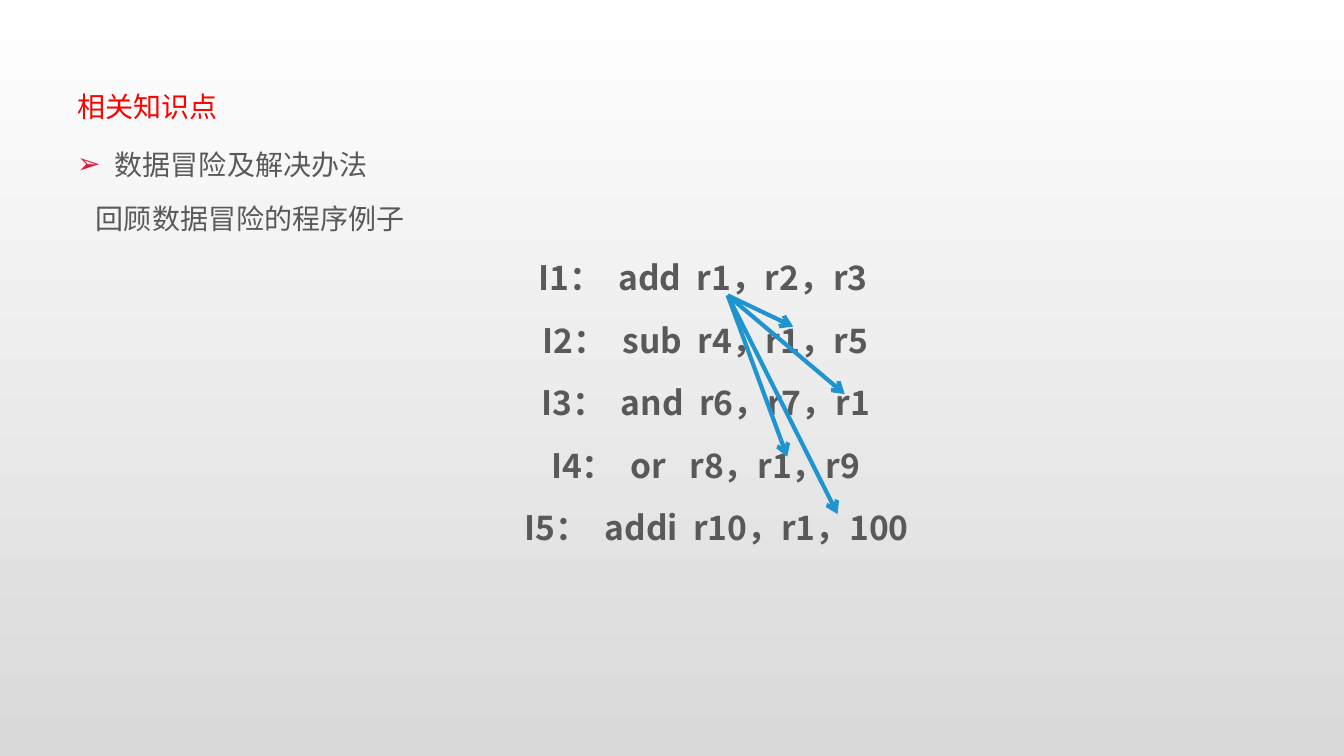
import pptx
import pptx.util
import pptx.dml.color
import pptx.enum.shapes
import pptx.enum.text
import pptx.oxml.ns
import lxml.etree

Pt = pptx.util.Pt
RGB = pptx.dml.color.RGBColor.from_string

# Content
HEADING = "相关知识点"
TOPIC = "数据冒险及解决办法"
LEAD_IN = "回顾数据冒险的程序例子"
# (instruction, left margin that offsets the centred line)
PROGRAM = [
    ("I1：  add  r1，r2，r3", 44.5),
    ("I2：  sub  r4，r1，r5", 48),
    ("I3：  and  r6，r7，r1", 48),
    ("I4：  or   r8，r1，r9", 48),
    ("I5：  addi  r10，r1，100", 64),
]
# Each arrow runs from the r1 written by I1 to a later use of it
R1_WRITTEN = (519.8, 211)
R1_USES = [(598.3, 367.2), (566.6, 233.3), (562.3, 326.2), (603.4, 281.5)]

THEME = {
    "heading": "FF0000", "text": "595959", "bullet": "DE1A37", "arrow": "2094CE",
    "background": ("FFFFFF", "D9D9D9"),
    "body_size": 20, "code_size": 24, "arrow_width": 3,
    "body_font": "Arial", "cjk_font": "Noto Sans CJK SC",
}


def add_xml(parent, tag, **attributes):
    return lxml.etree.SubElement(parent, pptx.oxml.ns.qn(tag), attributes)


def add_line(frame, text, color="text", size="body_size", font="body_font",
             bold=False, spacing=1.2, margin=0, centred=False):
    """Fill the first empty paragraph, or add one, with a single run."""
    para = frame.paragraphs[0] if not frame.text else frame.add_paragraph()
    para.line_spacing = spacing
    para.space_after = Pt(10)
    align = pptx.enum.text.PP_ALIGN
    para.alignment = align.CENTER if centred else align.LEFT
    properties = para._p.get_or_add_pPr()
    properties.set("marL", str(Pt(margin)))
    properties.set("indent", "0")
    span = para.add_run()
    span.text = text
    span.font.size = Pt(THEME[size])
    span.font.bold = bold
    span.font.color.rgb = RGB(THEME[color])
    span.font.name = THEME[font]
    add_xml(span.font._element, "a:ea", typeface=THEME["cjk_font"])
    return properties


def add_bullet(properties, hang):
    properties.set("indent", str(-Pt(hang)))
    add_xml(add_xml(properties, "a:buClr"), "a:srgbClr", val=THEME["bullet"])
    add_xml(properties, "a:buFont", typeface=THEME["body_font"])
    add_xml(properties, "a:buChar", char="➢")


def add_arrow(shapes, start, end):
    arrow = shapes.add_connector(
        pptx.enum.shapes.MSO_CONNECTOR.STRAIGHT, *map(Pt, start + end))
    arrow.line.color.rgb = RGB(THEME["arrow"])
    arrow.line.width = Pt(THEME["arrow_width"])
    add_xml(arrow.line._get_or_add_ln(), "a:tailEnd", type="arrow")
    add_xml(arrow._element.spPr, "a:effectLst")


def main():
    deck = pptx.Presentation()
    deck.slide_width, deck.slide_height = Pt(960), Pt(540)
    page = deck.slides.add_slide(deck.slide_layouts[6])

    # Background
    fill = page.background.fill
    fill.gradient()
    fill.gradient_angle = 270
    for stop, position, color in zip(fill.gradient_stops, (0, 1), THEME["background"]):
        stop.position = position
        stop.color.rgb = RGB(color)

    # Text
    box = page.shapes.add_textbox(Pt(48), Pt(53.3), Pt(864), Pt(429))
    frame = box.text_frame
    frame.word_wrap = True
    add_line(frame, HEADING, color="heading", spacing=1.3)
    add_bullet(add_line(frame, TOPIC, spacing=1.3, margin=27), hang=27)
    add_line(frame, LEAD_IN, margin=13.5)
    for instruction, margin in PROGRAM:
        add_line(frame, instruction, size="code_size", font="cjk_font",
                 bold=True, margin=margin, centred=True)

    # Dependency arrows
    dependencies = page.shapes.add_group_shape()
    for use in R1_USES:
        add_arrow(dependencies.shapes, R1_WRITTEN, use)

    deck.save("out.pptx")


if __name__ == "__main__":
    main()
